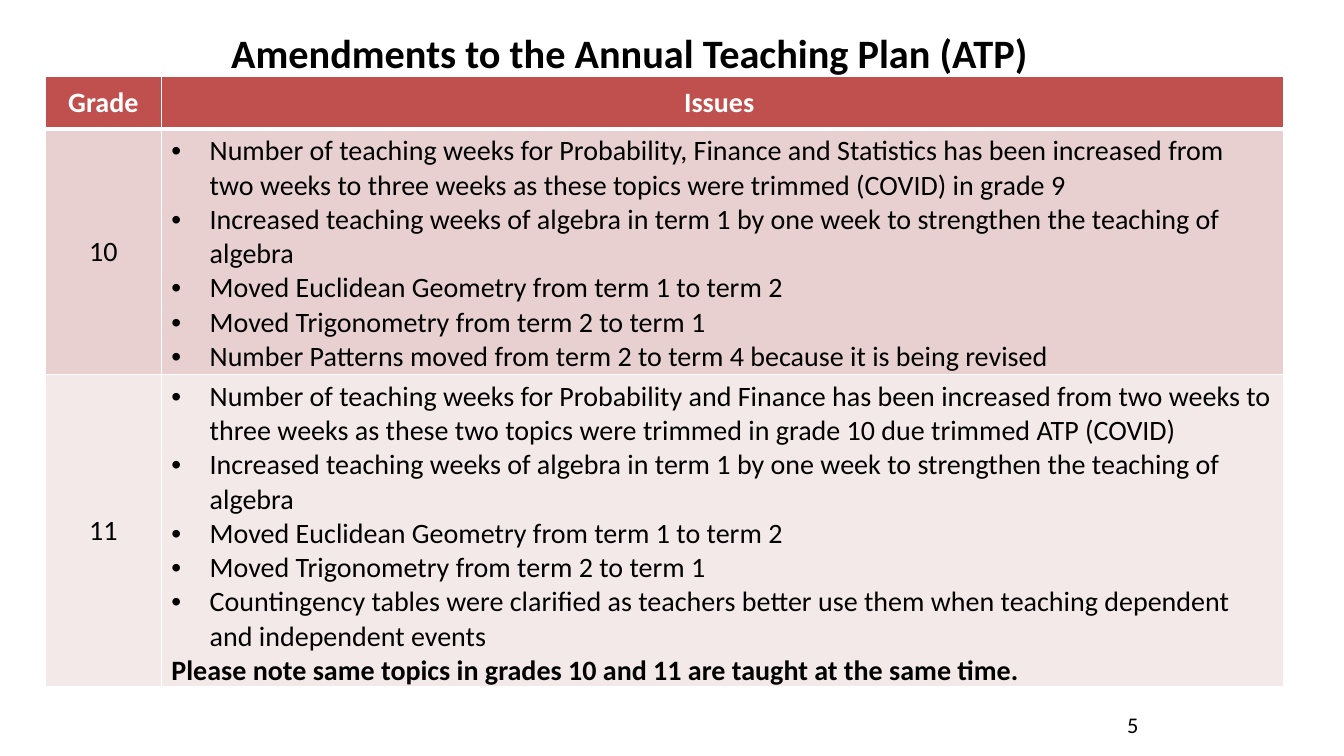
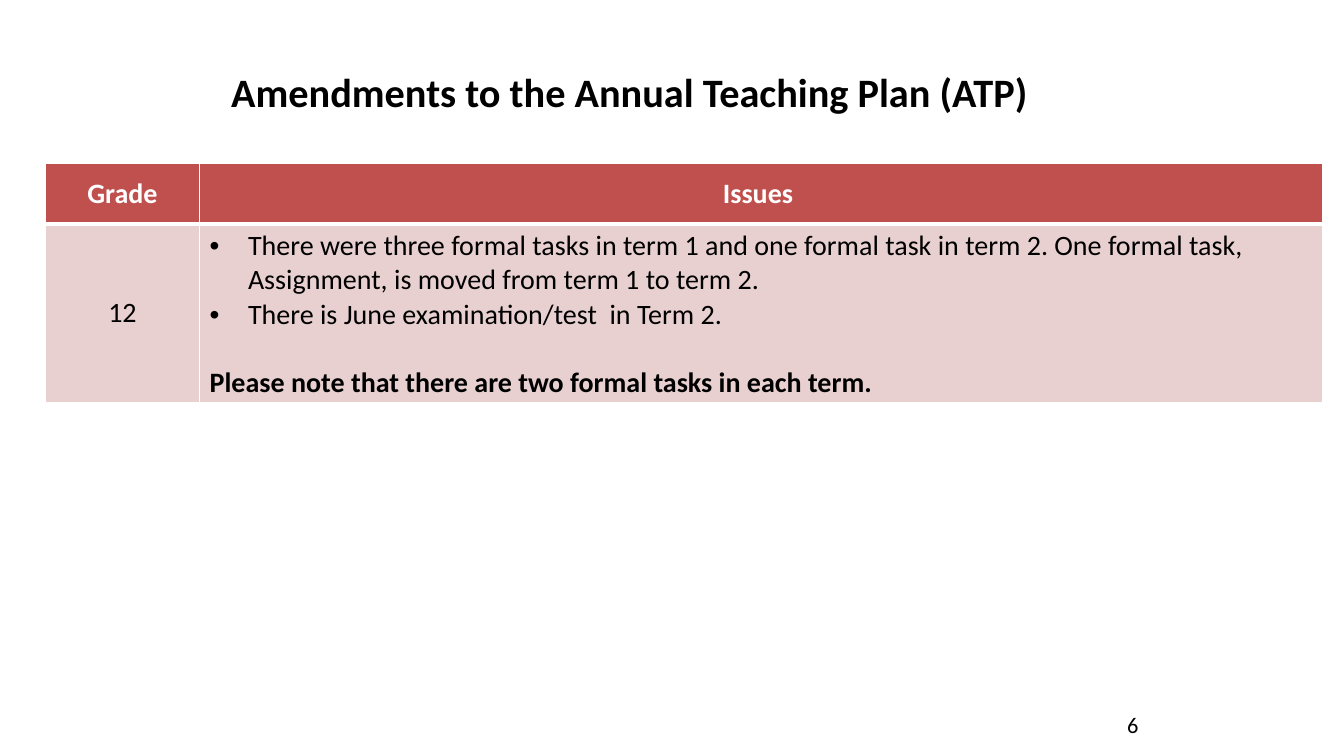
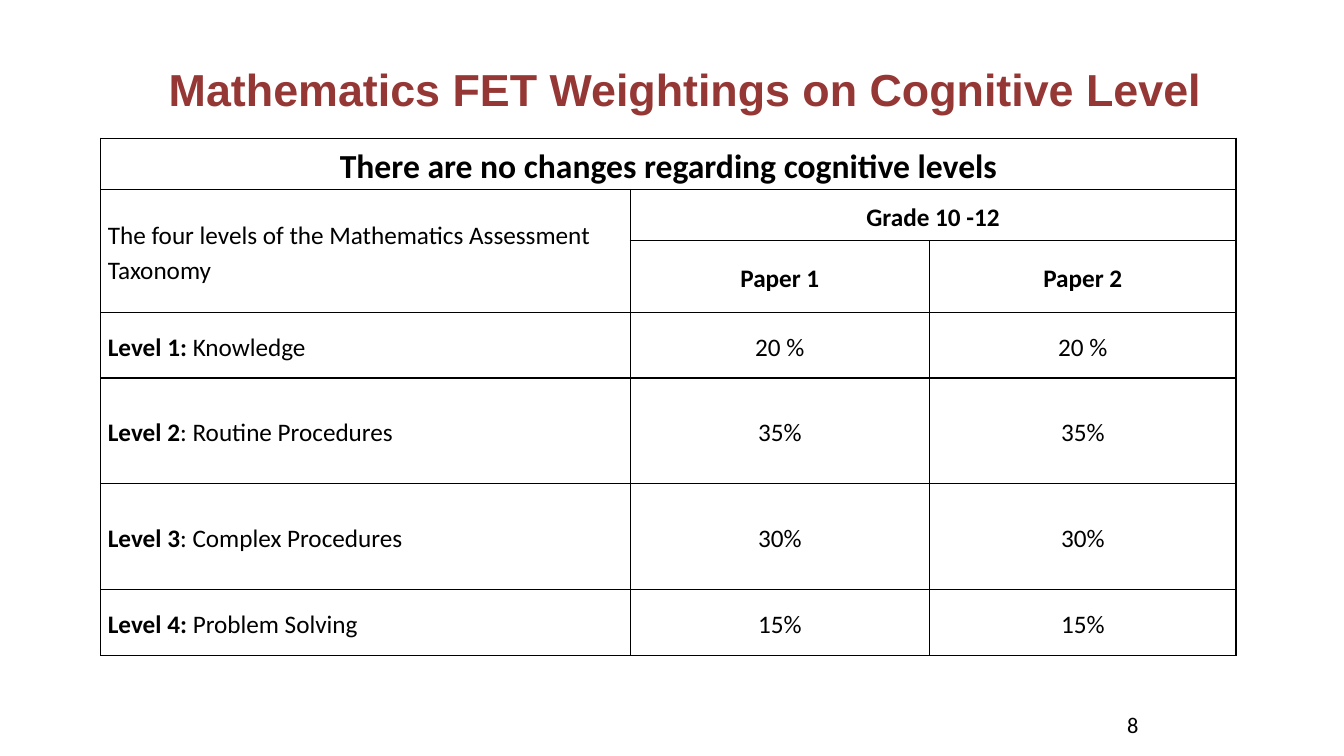
from lxml.etree import SubElement
from pptx import Presentation
from pptx.dml.color import RGBColor
from pptx.enum.text import MSO_ANCHOR as Anchor, PP_ALIGN as Align
from pptx.oxml.ns import qn
from pptx.util import Inches, Pt

COLORS = {
    "black": "000000",
    "white": "FFFFFF",
    "header": "C0504D",
    "band_dark": "E8D0D0",
    "band_light": "F4E9E9",
    "maroon": "953735",
}
BODY_FONT = "Calibri"
ATP_TITLE = "Amendments to the Annual Teaching Plan (ATP)"
ALGEBRA = ("Increased teaching weeks of algebra in term 1 by one week "
           "to strengthen the teaching of algebra")
GEOMETRY = "Moved Euclidean Geometry from term 1 to term 2"
TRIGONOMETRY = "Moved Trigonometry from term 2 to term 1"

# Each grade: label, bulleted issues, closing note, gap before the note in points
GRADES_10_11 = [
    ("10", [
        "Number of teaching weeks for Probability, Finance and Statistics has been increased "
        "from two weeks to three weeks as these topics were trimmed (COVID) in grade 9",
        ALGEBRA, GEOMETRY, TRIGONOMETRY,
        "Number Patterns moved from term 2 to term 4 because it is being revised",
    ], None, 0),
    ("11", [
        "Number of teaching weeks for Probability and Finance has been increased from two weeks "
        "to three weeks as these two topics were trimmed in grade 10 due trimmed ATP (COVID)",
        ALGEBRA, GEOMETRY, TRIGONOMETRY,
        "Countingency tables were clarified as teachers better use them when teaching "
        "dependent and independent events",
    ], "Please note same topics in grades 10 and 11 are taught at the same time.", 0),
]
GRADE_12 = [
    ("12", [
        "There were three formal tasks in term 1 and one formal task in term 2. "
        "One formal task, Assignment, is moved from term 1 to term 2.",
        "There is June examination/test  in Term 2.",
    ], "Please note that there are two formal tasks in each term.", 24.4),
]
# Each level: bold label, plain remainder, weighting in both papers
LEVELS = [
    ("Level 1: ", "Knowledge", "20 %"),
    ("Level 2", ": Routine Procedures", "35%"),
    ("Level 3", ": Complex Procedures", "30%"),
    ("Level 4: ", "Problem Solving", "15%"),
]


def rgb(name):
    return RGBColor.from_string(COLORS[name])


def write(paragraph, *parts, size, color="black", font=BODY_FONT, align=Align.LEFT):
    """Fill a paragraph with (text, bold) runs."""
    paragraph.alignment = align
    for text, bold in parts:
        run = paragraph.add_run()
        run.text = text
        run.font.size, run.font.name, run.font.bold = Pt(size), font, bold
        run.font.color.rgb = rgb(color)


def indent(paragraph, left, first=0.0, bullet=None):
    props = paragraph._p.get_or_add_pPr()
    props.set("marL", str(Inches(left)))
    props.set("indent", str(Inches(first)))
    if bullet:
        SubElement(props, qn("a:buFont")).set("typeface", "Arial")
        SubElement(props, qn("a:buChar")).set("char", bullet)


def spread(paragraph, after):
    paragraph.line_spacing = 1.15
    paragraph.space_after = Pt(after)


def style_cell(cell, border, fill=None, bottom=1):
    """Draw the four borders, then the fill."""
    props = cell._tc.get_or_add_tcPr()
    for side, width in zip("LRTB", (1, 1, 1, bottom)):
        line = SubElement(props, qn(f"a:ln{side}"), w=str(Pt(width)))
        solid = SubElement(line, qn("a:solidFill"))
        SubElement(solid, qn("a:srgbClr")).set("val", COLORS[border])
    if fill:
        cell.fill.solid()
        cell.fill.fore_color.rgb = rgb(fill)
    else:
        cell.fill.background()
    cell.vertical_anchor = Anchor.MIDDLE


def add_title(slide, box, text, size, color="black", font=BODY_FONT):
    frame = slide.shapes.add_textbox(*map(Inches, box)).text_frame
    frame.word_wrap = True
    frame.vertical_anchor = Anchor.MIDDLE
    title = frame.paragraphs[0]
    write(title, (text, True), size=size, color=color, font=font, align=Align.CENTER)
    return title


def add_page_number(slide, number):
    box = map(Inches, (11.08, 7.01, 0.32, 0.37))
    frame = slide.shapes.add_textbox(*box).text_frame
    frame.word_wrap = False
    write(frame.paragraphs[0], (str(number), False), size=16)


def add_grid(slide, left, top, widths, heights):
    """Add a plain table with the given column widths and row heights."""
    box = map(Inches, (left, top, sum(widths), sum(heights)))
    table = slide.shapes.add_table(len(heights), len(widths), *box).table
    table.first_row = table.horz_banding = False
    for column, width in zip(table.columns, widths):
        column.width = Inches(width)
    for row, height in zip(table.rows, heights):
        row.height = Inches(height)
    return table


def fill_issues(frame, issues, note, gap):
    for i, issue in enumerate(issues):
        paragraph = frame.add_paragraph() if i else frame.paragraphs[0]
        indent(paragraph, 0.38, -0.38, "•")
        write(paragraph, (issue, False), size=20)
    if note:
        closing = frame.add_paragraph()
        closing.space_before = Pt(gap)
        write(closing, (note, True), size=20)


def amendments_slide(slide, page, title_top, table_top, widths, heights, grades):
    add_title(slide, (2.1, title_top, 8.29, 0.77), ATP_TITLE, 28.8)
    table = add_grid(slide, 0.45, table_top, widths, heights)
    # Header row
    for cell, heading in zip(table.rows[0].cells, ("Grade", "Issues ")):
        style_cell(cell, "white", "header", bottom=3)
        write(cell.text_frame.paragraphs[0], (heading, True),
              size=20, color="white", align=Align.CENTER)
    # One banded row per grade
    for r, (grade, issues, note, gap) in enumerate(grades, 1):
        for cell in table.rows[r].cells:
            style_cell(cell, "white", "band_dark" if r % 2 else "band_light")
        write(table.cell(r, 0).text_frame.paragraphs[0], (grade, False),
              size=20, align=Align.CENTER)
        fill_issues(table.cell(r, 1).text_frame, issues, note, gap)
    add_page_number(slide, page)


def weightings_slide(slide, page):
    title = add_title(slide, (0.21, 0.29, 12.68, 1.09),
                      "Mathematics FET Weightings on Cognitive Level", 32, "maroon", "Arial")
    indent(title, 0.5)
    spread(title, 6)

    table = add_grid(slide, 1, 1.37, (5.25, 2.97, 3.04),
                     (0.51, 0.51, 0.71, 0.65, 1.05, 1.05, 0.65))
    for cell in table.iter_cells():
        style_cell(cell, "black")
        cell.margin_left = cell.margin_right = Inches(0.07)
        cell.margin_top = cell.margin_bottom = 0
    for first, last in (((0, 0), (0, 2)), ((1, 0), (2, 0)), ((1, 1), (1, 2))):
        table.cell(*first).merge(table.cell(*last))

    def put(row, column, *parts, size=18, align=Align.CENTER):
        paragraph = table.cell(row, column).text_frame.paragraphs[0]
        spread(paragraph, 10)
        write(paragraph, *parts, size=size, align=align)

    # Headings
    put(0, 0, ("There are no changes regarding cognitive levels", True), size=24)
    put(1, 0, ("The four levels of the Mathematics Assessment Taxonomy", False),
        align=Align.LEFT)
    put(1, 1, ("Grade 10 -12", True))
    for paper in (1, 2):
        put(2, paper, (f"Paper {paper}", True))
    # Levels
    for row, (label, name, weight) in enumerate(LEVELS, 3):
        put(row, 0, (label, True), (name, False), align=Align.LEFT)
        for paper in (1, 2):
            put(row, paper, (weight, False))
    add_page_number(slide, page)


def main():
    deck = Presentation()
    deck.slide_width, deck.slide_height = Inches(13.33), Inches(7.5)
    blank = deck.slide_layouts[6]
    amendments_slide(deck.slides.add_slide(blank), 5, 0.13, 0.76,
                     (1.15, 11.13), (0.52, 2.38, 2.93), GRADES_10_11)
    amendments_slide(deck.slides.add_slide(blank), 6, 0.52, 1.62,
                     (1.53, 11.14), (0.6, 1.36), GRADE_12)
    weightings_slide(deck.slides.add_slide(blank), 8)
    deck.save("out.pptx")


if __name__ == "__main__":
    main()
